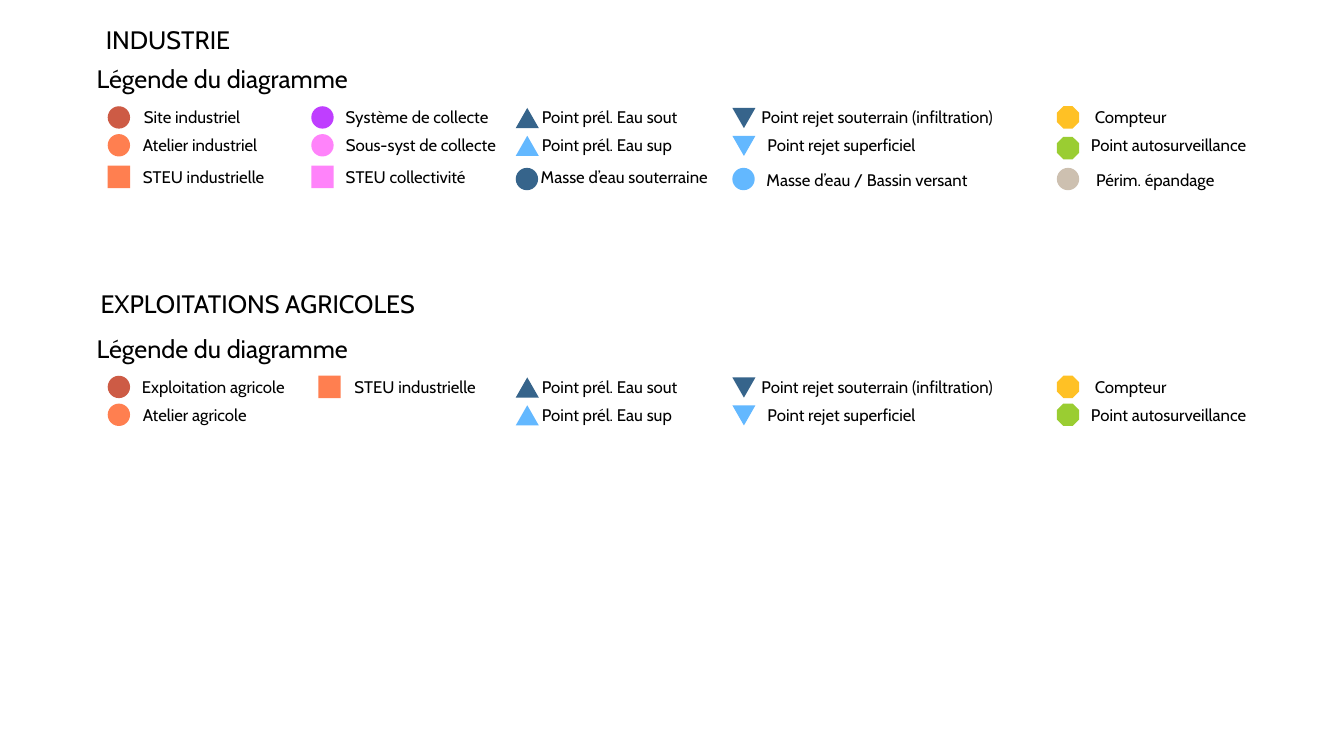
from dataclasses import dataclass

from pptx import Presentation
from pptx.dml.color import RGBColor
from pptx.enum.shapes import MSO_SHAPE
from pptx.enum.text import MSO_ANCHOR, MSO_AUTO_SIZE, PP_ALIGN
from pptx.util import Pt


@dataclass(frozen=True)
class Theme:
    font: str = "Cabin"
    heading_size: float = 18
    label_size: float = 12
    text: str = "000000"
    brick: str = "CD5B45"
    coral: str = "FF7F50"
    purple: str = "BF3EFF"
    pink: str = "FF83FA"
    navy: str = "36648B"
    sky: str = "63B8FF"
    amber: str = "FFC125"
    green: str = "9ACD32"
    sand: str = "CDC0B0"


@dataclass(frozen=True)
class Marker:
    preset: MSO_SHAPE
    width: float = 16
    height: float = 16
    drop: float = 2.9
    rotation: float = 0


@dataclass(frozen=True)
class Entry:
    """One legend line; drops shift the marker or label below its row."""
    row: int
    left: float
    marker: Marker
    color: str
    text: str
    label_left: float
    label_width: float
    marker_drop: float = 0
    label_drop: float = 0


THEME = Theme()
CIRCLE = Marker(MSO_SHAPE.OVAL)
SQUARE = Marker(MSO_SHAPE.RECTANGLE)
OCTAGON = Marker(MSO_SHAPE.OCTAGON)
UP = Marker(MSO_SHAPE.ISOSCELES_TRIANGLE, 16.5, 14.4, 4.1)
DOWN = Marker(MSO_SHAPE.ISOSCELES_TRIANGLE, 16.5, 14.4, 4.1, 180)

SITES, COLLECTION, INTAKE, DISCHARGE, MONITORING = 77, 222.5, 368.6, 523.4, 755.3
ROW_OFFSETS = (0, 19.9, 42.5)
ROWS_BELOW_HEADING = 31.2

WATER_POINTS = [
    Entry(0, INTAKE, UP, THEME.navy, "Point prél. Eau sout", 380.2, 124),
    Entry(1, INTAKE, UP, THEME.sky, "Point prél. Eau sup", 380.2, 119.5),
    Entry(0, DISCHARGE, DOWN, THEME.navy, "Point rejet souterrain (infiltration)", 537.1, 204),
    Entry(1, DISCHARGE, DOWN, THEME.sky, "Point rejet superficiel", 541.4, 134),
    Entry(0, MONITORING, OCTAGON, THEME.amber, "Compteur", 775.4, 71.3),
]
INDUSTRY = WATER_POINTS + [
    Entry(0, SITES, CIRCLE, THEME.brick, "Site industriel", 95.8, 91.4),
    Entry(1, SITES, CIRCLE, THEME.coral, "Atelier industriel", 95, 107.3),
    Entry(2, SITES, SQUARE, THEME.coral, "STEU industrielle", 95, 109.4),
    Entry(0, COLLECTION, CIRCLE, THEME.purple, "Système de collecte", 240, 125.3),
    Entry(1, COLLECTION, CIRCLE, THEME.pink, "Sous-syst de collecte", 240, 130.3),
    Entry(2, COLLECTION, SQUARE, THEME.pink, "STEU collectivité", 240, 105.8),
    Entry(2, INTAKE, CIRCLE, THEME.navy, "Masse d’eau souterraine", 379.4, 152, 1.5),
    Entry(2, DISCHARGE, CIRCLE, THEME.sky, "Masse d’eau / Bassin versant", 540.7, 175.7, 1.5, 2),
    Entry(1, MONITORING, OCTAGON, THEME.green, "Point autosurveillance", 772.6, 139.7, 2),
    Entry(2, MONITORING, CIRCLE, THEME.sand, "Périm. épandage", 776.2, 110.2, 1.5, 2),
]
FARMING = WATER_POINTS + [
    Entry(0, SITES, CIRCLE, THEME.brick, "Exploitation agricole", 94.3, 129.6),
    Entry(1, SITES, CIRCLE, THEME.coral, "Atelier agricole", 95, 99.4),
    Entry(0, COLLECTION + 5, SQUARE, THEME.coral, "STEU industrielle", 246.2, 109.4),
    Entry(1, MONITORING, OCTAGON, THEME.green, "Point autosurveillance", 772.6, 139.7),
]


class LegendSlide:
    def __init__(self, slide, theme):
        self.slide = slide
        self.theme = theme

    def set_text(self, shape, text, size):
        frame = shape.text_frame
        frame.word_wrap = False
        frame.auto_size = MSO_AUTO_SIZE.SHAPE_TO_FIT_TEXT
        frame.vertical_anchor = MSO_ANCHOR.TOP
        paragraph = frame.paragraphs[0]
        paragraph.alignment = PP_ALIGN.LEFT
        run = paragraph.add_run()
        run.text = text
        run.font.name = self.theme.font
        run.font.size = Pt(size)
        run.font.color.rgb = RGBColor.from_string(self.theme.text)

    def title(self, text, left, top, width):
        shape = self.slide.shapes.title
        shape.left, shape.top = Pt(left), Pt(top)
        shape.width, shape.height = Pt(width), Pt(29)
        self.set_text(shape, text, self.theme.heading_size)

    def text(self, shapes, text, left, top, width, size):
        box = shapes.add_textbox(Pt(left), Pt(top), Pt(width), Pt(size * 1.2 + 7.2))
        self.set_text(box, text, size)

    def heading(self, shapes, text, left, top, width):
        self.text(shapes, text, left, top, width, self.theme.heading_size)

    def marker(self, shapes, marker, color, left, top):
        shape = shapes.add_shape(marker.preset, Pt(left), Pt(top + marker.drop),
                                 Pt(marker.width), Pt(marker.height))
        shape.rotation = marker.rotation
        shape.shadow.inherit = False
        shape.fill.solid()
        shape.fill.fore_color.rgb = RGBColor.from_string(color)
        shape.line.fill.background()

    def legend(self, top, entries):
        shapes = self.slide.shapes.add_group_shape().shapes
        self.heading(shapes, "Légende du diagramme", 62, top, 217.4)
        for entry in entries:
            row_top = top + ROWS_BELOW_HEADING + ROW_OFFSETS[entry.row]
            self.marker(shapes, entry.marker, entry.color, entry.left,
                        row_top + entry.marker_drop)
            self.text(shapes, entry.text, entry.label_left, row_top + entry.label_drop,
                      entry.label_width, self.theme.label_size)


def main():
    presentation = Presentation()
    presentation.slide_width, presentation.slide_height = Pt(960.5), Pt(540)
    slide = presentation.slides.add_slide(presentation.slide_layouts[5])
    page = LegendSlide(slide, THEME)
    page.title("INDUSTRIE", 68.4, 13.7, 107.3)
    page.legend(41.8, INDUSTRY)
    page.heading(slide.shapes, "EXPLOITATIONS AGRICOLES", 64.8, 202.3, 252)
    page.legend(234.3, FARMING)
    presentation.save("out.pptx")


if __name__ == "__main__":
    main()
